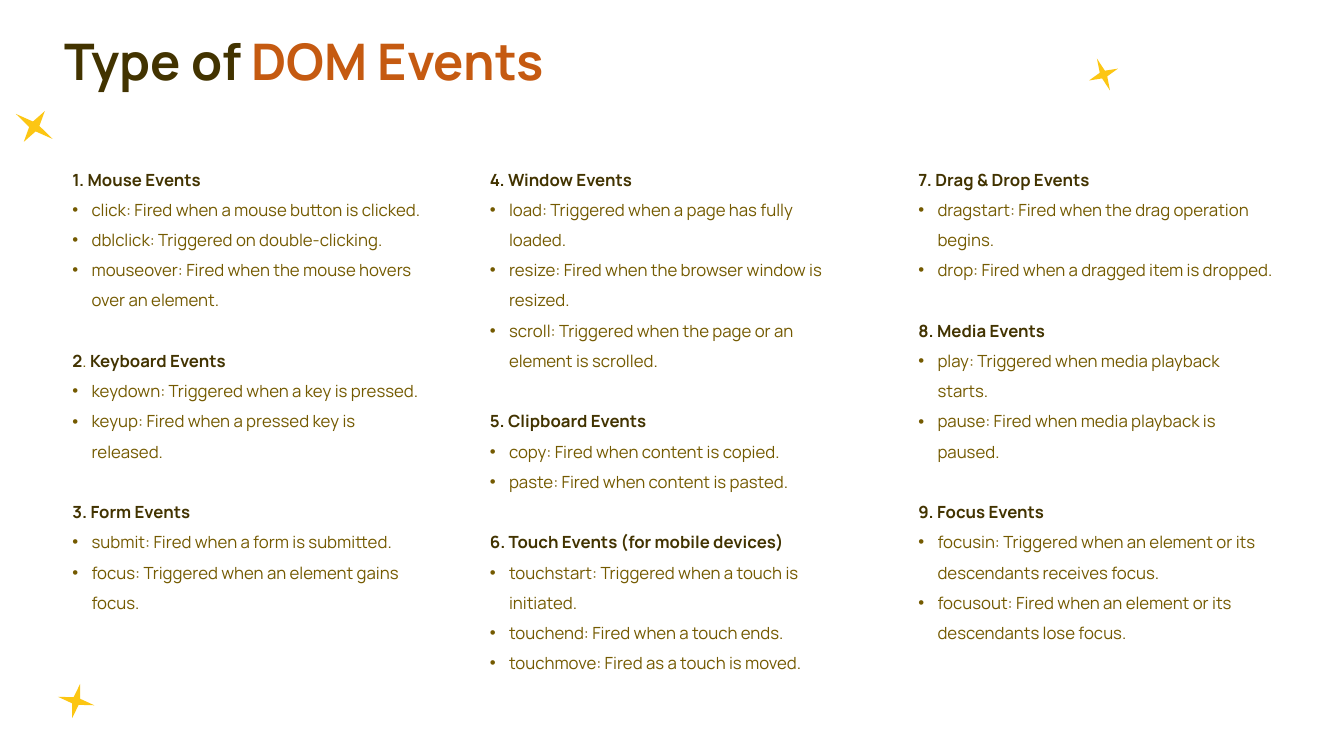
import pptx
import pptx.util
import pptx.dml.color
import pptx.enum.shapes
import pptx.enum.text
import lxml.etree

Inches = pptx.util.Inches
Pt = pptx.util.Pt
RGBColor = pptx.dml.color.RGBColor

GOLD = RGBColor(0xFC, 0xC6, 0x13)
DARK = RGBColor(0x42, 0x33, 0x00)
OLIVE = RGBColor(0x74, 0x5A, 0x00)
RUST = RGBColor(0xC5, 0x5A, 0x11)

TITLE = {"name": "Manrope", "size": Pt(36), "bold": True}
HEAD = {"name": "Manrope", "size": Pt(12), "bold": True}
BODY = {"name": "Manrope", "size": Pt(12), "bold": False}

STARS = [
    (0.12, 1.07, 0.44, 0.37, 34.3),
    (0.57, 6.78, 0.37, 0.35, 13.1),
    (10.79, 0.57, 0.31, 0.34, 337.7),
]

COLUMNS = [
    (0.62, [
        (["1. Mouse Events"], [
            "click: Fired when a mouse button is clicked.",
            "dblclick: Triggered on double-clicking.",
            "mouseover: Fired when the mouse hovers over an element."]),
        (["2", ". ", "Keyboard Events"], [
            "keydown: Triggered when a key is pressed.",
            "keyup: Fired when a pressed key is released."]),
        (["3. Form Events"], [
            "submit: Fired when a form is submitted.",
            "focus: Triggered when an element gains focus."]),
    ]),
    (4.76, [
        (["4. Window Events"], [
            "load: Triggered when a page has fully loaded.",
            "resize: Fired when the browser window is resized.",
            "scroll: Triggered when the page or an element is scrolled."]),
        (["5. Clipboard Events"], [
            "copy: Fired when content is copied.",
            "paste: Fired when content is pasted."]),
        (["6. Touch Events (for mobile devices)"], [
            "touchstart: Triggered when a touch is initiated.",
            "touchend: Fired when a touch ends.",
            "touchmove: Fired as a touch is moved."]),
    ]),
    (9.01, [
        (["7. Drag & Drop Events"], [
            "dragstart: Fired when the drag operation begins.",
            "drop: Fired when a dragged item is dropped."]),
        (["8. Media Events"], [
            "play: Triggered when media playback starts.",
            "pause: Fired when media playback is paused."]),
        (["9. Focus Events"], [
            "focusin: Triggered when an element or its descendants receives focus.",
            "focusout: Fired when an element or its descendants lose focus."]),
    ]),
]


def add_run(para, text, style, color):
    run = para.add_run()
    run.text = text
    for key, value in style.items():
        setattr(run.font, key, value)
    run.font.color.rgb = color


def add_bullet(para):
    props = para._p.get_or_add_pPr()
    props.set("marL", str(Inches(0.19)))
    props.set("indent", str(-Inches(0.19)))
    for tag, key, value in [("buFont", "typeface", "Arial"), ("buChar", "char", "•")]:
        lxml.etree.SubElement(props, pptx.oxml.ns.qn("a:" + tag)).set(key, value)


deck = pptx.Presentation()
deck.slide_width = Inches(13.33)
deck.slide_height = Inches(7.5)
slide = deck.slides.add_slide(deck.slide_layouts[6])

for left, top, width, height, turn in STARS:
    star = slide.shapes.add_shape(
        pptx.enum.shapes.MSO_SHAPE.STAR_4_POINT,
        Inches(left), Inches(top), Inches(width), Inches(height))
    star.rotation = turn
    star.shadow.inherit = False
    star.fill.solid()
    star.fill.fore_color.rgb = GOLD
    star.line.fill.background()

title = slide.shapes.add_textbox(Inches(0.54), Inches(0), Inches(10), Inches(0.95))
frame = title.text_frame
frame.word_wrap = True
frame.vertical_anchor = pptx.enum.text.MSO_ANCHOR.BOTTOM
para = frame.paragraphs[0]
para.line_spacing = Pt(50.2)
add_run(para, "Type of ", TITLE, DARK)
add_run(para, "DOM Events", TITLE, RUST)

for left, groups in COLUMNS:
    box = slide.shapes.add_textbox(Inches(left), Inches(1.53), Inches(3.72), Inches(5.23))
    frame = box.text_frame
    frame.word_wrap = True
    for order, (parts, items) in enumerate(groups):
        para = frame.add_paragraph() if order else frame.paragraphs[0]
        para.line_spacing = 1.5
        if order:
            para.space_before = Pt(21.6)
        for place, part in enumerate(parts):
            plain = place % 2
            add_run(para, part, BODY if plain else HEAD, OLIVE if plain else DARK)
        for item in items:
            para = frame.add_paragraph()
            para.line_spacing = 1.5
            add_bullet(para)
            add_run(para, item, BODY, OLIVE)

deck.save("out.pptx")
